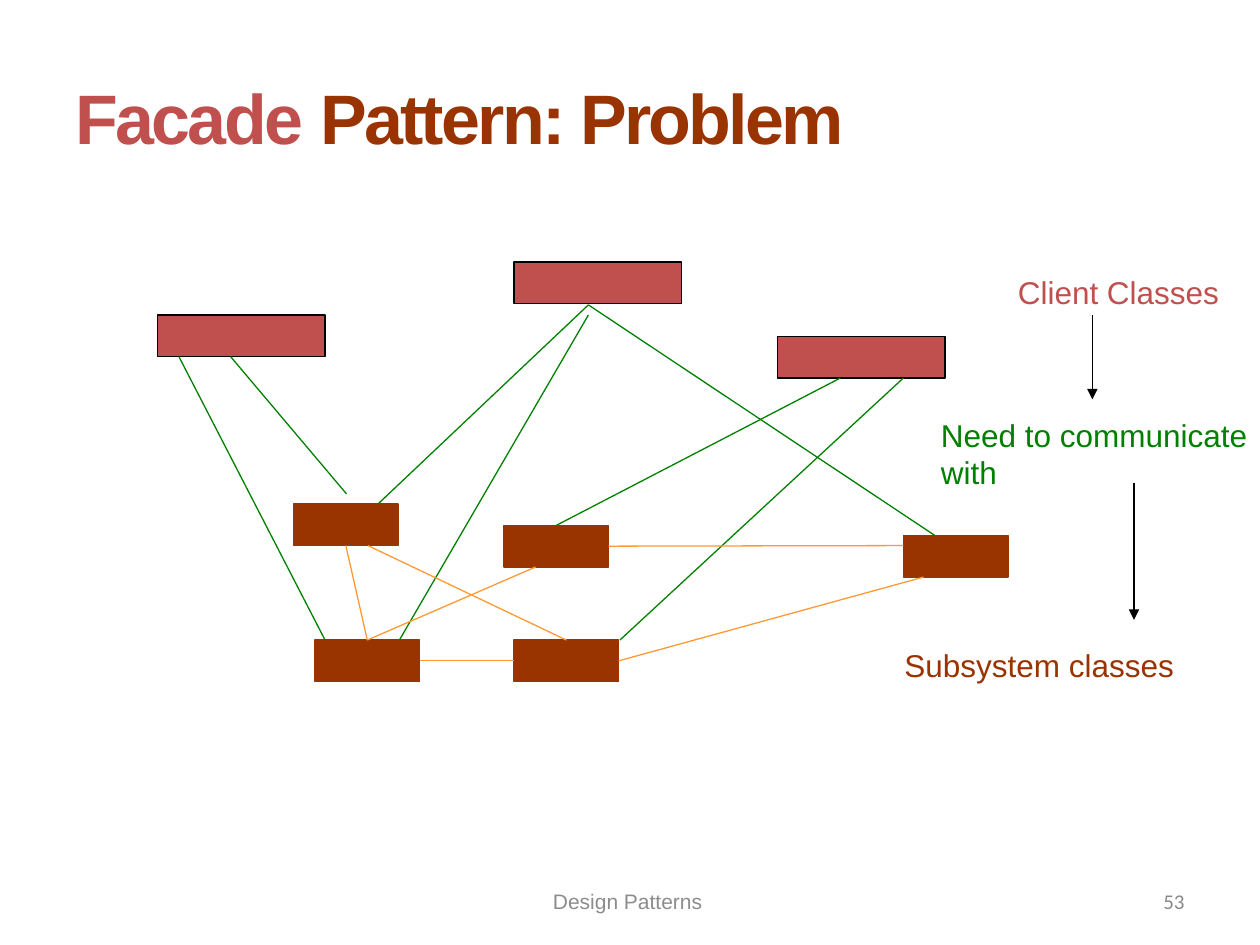
from dataclasses import dataclass
from math import dist

from lxml.etree import SubElement
from pptx import Presentation
from pptx.dml.color import RGBColor
from pptx.enum.shapes import MSO_CONNECTOR as Connector, MSO_SHAPE as Shape
from pptx.enum.text import MSO_ANCHOR as Anchor, PP_ALIGN as Align
from pptx.oxml.ns import qn
from pptx.util import Inches, Pt

CLIENT, SUBSYSTEM, REQUEST, INTERNAL, BLACK = "C0504D", "993300", "008000", "FF9933", "000000"
BOX_HEIGHT = 0.33
JOIN_TOLERANCE = 0.02


@dataclass
class ClassKind:
    width: float
    fill: str
    border: str
    corners: list[tuple[float, float]]


@dataclass
class Link:
    start: tuple[float, float]
    end: tuple[float, float]


@dataclass
class Label:
    place: tuple[float, float, float, float]
    lines: list[list[tuple[str, str]]]
    size: float = 18
    font: str = "Arial"
    bold: bool = False
    spacing: int = 0
    align: Align = Align.LEFT
    anchor: Anchor = Anchor.TOP
    wrap: bool = False


CLASS_KINDS = [
    ClassKind(1.33, CLIENT, BLACK, [(1.25, 2.5), (6.17, 2.67), (4.08, 2.08)]),
    ClassKind(0.83, SUBSYSTEM, SUBSYSTEM,
              [(2.33, 4), (2.5, 5.08), (7.17, 4.25), (4, 4.17), (4.08, 5.08)]),
]
REQUESTS = [
    Link((4.67, 2.42), (7.42, 4.25)),
    Link((1.83, 2.83), (2.75, 3.92)),
    Link((4.67, 2.42), (3, 4)),
    Link((1.42, 2.83), (2.58, 5.08)),
    Link((7.17, 3), (4.92, 5.08)),
    Link((6.67, 3), (4.42, 4.17)),
    Link((4.67, 2.5), (3.17, 5.08)),
]
INTERNAL_CALLS = [
    Link((3.33, 5.25), (4.08, 5.25)),
    Link((2.75, 4.33), (2.92, 5.08)),
    Link((2.92, 5.08), (4.25, 4.5)),
    Link((4.92, 5.25), (7.33, 4.58)),
    Link((4.83, 4.33), (7.17, 4.33)),
    Link((2.92, 4.33), (4.5, 5.08)),
]
LEGEND_ARROWS = [Link((8.67, 2.5), (8.67, 3.17)), Link((9, 3.83), (9, 4.92))]
LABELS = [
    Label((0.5, 0.3, 9, 1.25), [[("Facade ", CLIENT), ("Pattern: Problem", SUBSYSTEM)]],
          size=40, bold=True, spacing=-150, anchor=Anchor.MIDDLE, wrap=True),
    Label((7.98, 2.12, 1.8, 0.4), [[("Client Classes", CLIENT)]]),
    Label((7.37, 3.25, 2.63, 0.7), [[("Need to communicate", REQUEST)], [("with", REQUEST)]]),
    Label((7.08, 5.08, 2.34, 0.4), [[("Subsystem classes", SUBSYSTEM)]]),
    Label((3.42, 6.95, 3.17, 0.4), [[("Design Patterns ", "8C8C8C")]],
          size=12, align=Align.CENTER, anchor=Anchor.MIDDLE, wrap=True),
    Label((7.17, 6.95, 2.33, 0.4), [[("53", "898989")]],
          size=12, font="Calibri", align=Align.RIGHT, anchor=Anchor.MIDDLE, wrap=True),
]


def colour(target, value: str) -> None:
    """Give a font, fill or line a solid colour."""
    if hasattr(target, "solid"):
        target.solid()
        target.fore_color.rgb = RGBColor.from_string(value)
    else:
        target.color.rgb = RGBColor.from_string(value)


def apply(target, values: dict) -> None:
    """Set each named attribute on the target."""
    for name, value in values.items():
        setattr(target, name, value)


def draw_classes(slide, kind: ClassKind) -> list:
    """Draw the boxes of one kind of class."""
    boxes = []
    for left, top in kind.corners:
        box = slide.shapes.add_shape(Shape.RECTANGLE, Inches(left), Inches(top),
                                     Inches(kind.width), Inches(BOX_HEIGHT))
        box.shadow.inherit = False
        colour(box.fill, kind.fill)
        colour(box.line, kind.border)
        box.line.width = Pt(0.75)
        boxes.append(box)
    return boxes


def join(connect, point: tuple[float, float], boxes: list) -> None:
    """Join a line end to the box side whose middle it touches."""
    position = [Inches(value) for value in point]
    for box in boxes:
        right, bottom = box.left + box.width, box.top + box.height
        middle_x, middle_y = box.left + box.width / 2, box.top + box.height / 2
        sides = [(middle_x, box.top), (box.left, middle_y),
                 (middle_x, bottom), (right, middle_y)]
        for site, side in enumerate(sides):
            if dist(position, side) < Inches(JOIN_TOLERANCE):
                connect(box, site)
                return


def draw_links(slide, links: list[Link], line_colour: str, boxes: list,
               arrow: bool = False) -> None:
    """Draw straight lines of one colour, with an arrowhead if asked."""
    for link in links:
        ends = [Inches(value) for value in (*link.start, *link.end)]
        line = slide.shapes.add_connector(Connector.STRAIGHT, *ends)
        colour(line.line, line_colour)
        line.line.width = Pt(0.75)
        properties = line._element.spPr
        if arrow:
            SubElement(properties.find(qn("a:ln")), qn("a:tailEnd"), type="triangle")
        SubElement(properties, qn("a:effectLst"))
        join(line.begin_connect, link.start, boxes)
        join(line.end_connect, link.end, boxes)


def draw_label(slide, label: Label) -> None:
    """Write a label, one paragraph for each line."""
    frame = slide.shapes.add_textbox(*map(Inches, label.place)).text_frame
    apply(frame, {"word_wrap": label.wrap, "vertical_anchor": label.anchor})
    for index, pieces in enumerate(label.lines):
        paragraph = frame.add_paragraph() if index else frame.paragraphs[0]
        paragraph.alignment = label.align
        for text, text_colour in pieces:
            run = paragraph.add_run()
            run.text = text
            apply(run.font, {"name": label.font, "size": Pt(label.size), "bold": label.bold})
            colour(run.font, text_colour)
            if label.spacing:
                run._r.get_or_add_rPr().set("spc", str(label.spacing))


def main() -> None:
    """Build the facade problem slide."""
    deck = Presentation()
    apply(deck, {"slide_width": Inches(10), "slide_height": Inches(7.5)})
    slide = deck.slides.add_slide(deck.slide_layouts[6])
    boxes = [box for kind in CLASS_KINDS for box in draw_classes(slide, kind)]
    draw_links(slide, REQUESTS, REQUEST, boxes)
    draw_links(slide, INTERNAL_CALLS, INTERNAL, boxes)
    draw_links(slide, LEGEND_ARROWS, BLACK, boxes, arrow=True)
    for label in LABELS:
        draw_label(slide, label)
    deck.save("out.pptx")


if __name__ == "__main__":
    main()
